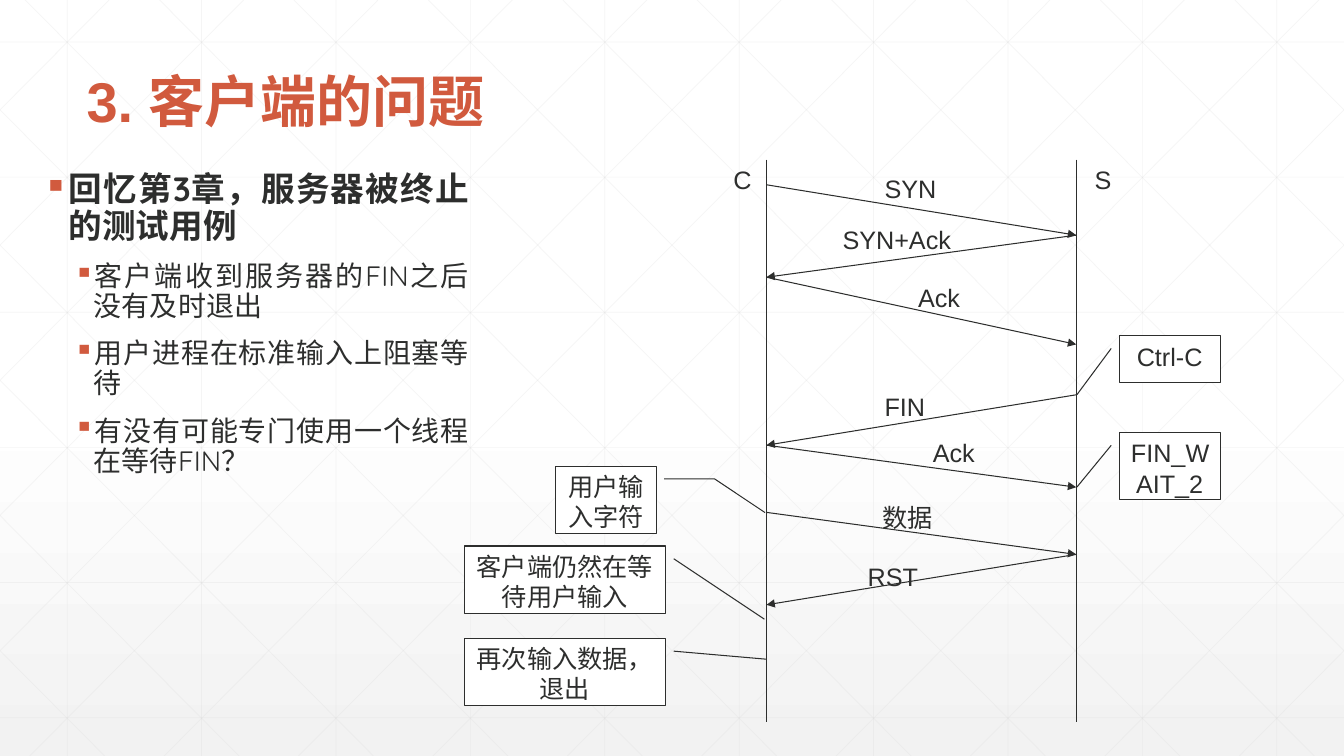
from dataclasses import dataclass

from lxml import etree
from pptx import Presentation
from pptx.dml.color import RGBColor
from pptx.enum.lang import MSO_LANGUAGE_ID
from pptx.enum.shapes import MSO_CONNECTOR, MSO_SHAPE
from pptx.enum.text import MSO_ANCHOR, MSO_AUTO_SIZE, PP_ALIGN
from pptx.oxml.ns import qn
from pptx.util import Pt

STRAIGHT = MSO_CONNECTOR.STRAIGHT
CALLOUT, BENT_CALLOUT = MSO_SHAPE.LINE_CALLOUT_1, MSO_SHAPE.LINE_CALLOUT_2
TOP, BOTTOM = MSO_ANCHOR.TOP, MSO_ANCHOR.BOTTOM
LEFT, CENTER, JUSTIFY = PP_ALIGN.LEFT, PP_ALIGN.CENTER, PP_ALIGN.JUSTIFY
FIT_SHAPE, FIT_NONE = MSO_AUTO_SIZE.SHAPE_TO_FIT_TEXT, MSO_AUTO_SIZE.NONE
CHINESE = MSO_LANGUAGE_ID.SIMPLIFIED_CHINESE

EMU_PER_PX = 9525
WIDTH, HEIGHT = 1280, 720


@dataclass(frozen=True)
class Theme:
    ink: str = "2D2E2D"
    accent: str = "D15A3E"
    paper: str = "FFFFFF"
    shade: str = "F2F2F2"
    grid: str = "D9D9D9"
    grid_alpha: int = 25000
    diagram_font: str = "Arial"
    body_font: str = "Quicksand"
    title_size: int = 40
    point_size: int = 24
    subpoint_size: int = 20
    label_size: int = 18
    line_width: float = 0.75
    grid_width: float = 0.5


def px(*lengths):
    return [round(length * EMU_PER_PX) for length in lengths]


def assign(target, values):
    for name, value in values.items():
        setattr(target, name, value)


def add_element(parent, tag, **attributes):
    return etree.SubElement(parent, qn(tag), attributes)


class SlideBuilder:
    """Draws styled elements on one slide."""

    def __init__(self, presentation, theme):
        self.theme = theme
        self.slide = presentation.slides.add_slide(presentation.slide_layouts[6])

    def background(self):
        fill = self.slide.background.fill
        fill.gradient()
        fill.gradient_angle = 270
        colors = (0.53, self.theme.paper), (1, self.theme.shade)
        for stop, (position, color) in zip(fill.gradient_stops, colors):
            stop.position = position
            stop.color.rgb = RGBColor.from_string(color)

    def outline(self, shape, color, width):
        shape.line.width = Pt(width)
        shape.line.color.rgb = RGBColor.from_string(color)

    def line(self, start, end, arrow=False):
        connector = self.slide.shapes.add_connector(STRAIGHT, *px(*start, *end))
        self.outline(connector, self.theme.ink, self.theme.line_width)
        if arrow:
            outline = connector._element.spPr.find(qn("a:ln"))
            add_element(outline, "a:tailEnd", type="triangle")
        add_element(connector._element.spPr, "a:effectLst")

    def grid(self, segments):
        group = self.slide.shapes.add_group_shape()
        for segment in segments:
            connector = group.shapes.add_connector(STRAIGHT, *px(*segment))
            self.outline(connector, self.theme.grid, self.theme.grid_width)
            color = connector._element.spPr.find(".//" + qn("a:srgbClr"))
            add_element(color, "a:alpha", val=str(self.theme.grid_alpha))
            add_element(connector._element.spPr, "a:effectLst")

    def fill_paragraph(self, paragraph, text, size, font=None, color=None, bold=False, **layout):
        paragraph.text = text
        assign(paragraph, layout)
        run_font = paragraph.runs[0].font
        assign(run_font, {
            "name": font or self.theme.diagram_font,
            "size": Pt(size),
            "bold": bold,
            "language_id": CHINESE,
        })
        run_font.color.rgb = RGBColor.from_string(color or self.theme.ink)

    def text_box(self, box, wrap=True, anchor=TOP, fit=FIT_NONE):
        frame = self.slide.shapes.add_textbox(*px(*box)).text_frame
        assign(frame, {"word_wrap": wrap, "vertical_anchor": anchor, "auto_size": fit})
        return frame

    def title(self, text, box):
        frame = self.text_box(box, anchor=BOTTOM)
        self.fill_paragraph(frame.paragraphs[0], text, self.theme.title_size,
                            color=self.theme.accent, bold=True, line_spacing=0.9)

    def label(self, text, left, top, width):
        frame = self.text_box((left, top, width, 38), wrap=False, fit=FIT_SHAPE)
        self.fill_paragraph(frame.paragraphs[0], text, self.theme.label_size, alignment=LEFT)

    def bullets(self, heading, points, box):
        frame = self.text_box(box)
        for index, text in enumerate([heading, *points]):
            paragraph = frame.add_paragraph() if index else frame.paragraphs[0]
            margin, hanging = px(48, -19) if index else px(24, -24)
            properties = paragraph._p.get_or_add_pPr()
            properties.set("marL", str(margin))
            properties.set("indent", str(hanging))
            bullet_color = add_element(properties, "a:buClr")
            add_element(bullet_color, "a:srgbClr", val=self.theme.accent)
            add_element(properties, "a:buChar", char="▪")
            size = self.theme.subpoint_size if index else self.theme.point_size
            self.fill_paragraph(paragraph, text, size, self.theme.body_font, bold=not index,
                                level=min(index, 1), alignment=JUSTIFY, line_spacing=0.9,
                                space_before=Pt(12 if index else 0))

    def callout(self, text, box, pointer, kind=CALLOUT):
        shape = self.slide.shapes.add_shape(kind, *px(*box))
        shape.shadow.inherit = False
        shape.fill.solid()
        shape.fill.fore_color.rgb = RGBColor.from_string(self.theme.paper)
        self.outline(shape, self.theme.ink, self.theme.line_width)
        for index, value in enumerate(pointer):
            shape.adjustments[index] = value
        assign(shape.text_frame, {"word_wrap": True, "vertical_anchor": TOP})
        self.fill_paragraph(shape.text_frame.paragraphs[0], text, self.theme.label_size,
                            alignment=CENTER)


def grid_segments():
    step, slope = 128, 1.006
    segments = [(x, 0, x, HEIGHT) for x in range(64, WIDTH, step)]
    segments += [(0, 40 + 128.7 * row, WIDTH, 40 + 128.7 * row) for row in range(6)]
    for origin in range(24 - 5 * step, WIDTH, step):
        left, right = max(origin, 0), min(origin + HEIGHT / slope, WIDTH)
        top, bottom = (left - origin) * slope, (right - origin) * slope
        segments.append((left, top, right, bottom))
        segments.append((WIDTH - left, top, WIDTH - right, bottom))
    return segments


def main():
    presentation = Presentation()
    presentation.slide_width, presentation.slide_height = px(WIDTH, HEIGHT)
    builder = SlideBuilder(presentation, Theme())
    builder.background()
    builder.grid(grid_segments())

    builder.title("3. 客户端的问题", (73, 13, 1008, 120))
    builder.bullets(
        "回忆第3章，服务器被终止的测试用例",
        ["客户端收到服务器的FIN之后没有及时退出",
         "用户进程在标准输入上阻塞等待",
         "有没有可能专门使用一个线程在等待FIN？"],
        (32, 160, 424, 408))

    callouts = [
        ("再次输入数据，退出", (442, 608, 192, 64), (0.19, 1.04, 0.31, 1.5), CALLOUT),
        ("客户端仍然在等待用户输入", (442, 520, 192, 64), (0.19, 1.04, 1.09, 1.49), CALLOUT),
        ("用户输入字符", (529, 444, 96, 64), (0.19, 1.08, 0.19, 1.58, 0.69, 2.08), BENT_CALLOUT),
        ("Ctrl-C", (1066, 320, 96, 44), (0.27, -0.08, 1.27, -0.42), CALLOUT),
        ("FIN_WAIT_2", (1066, 412, 96, 64), (0.19, -0.08, 0.81, -0.42), CALLOUT),
    ]
    for callout in callouts:
        builder.callout(*callout)

    client, server = 730, 1025
    for lifeline in (client, server):
        builder.line((lifeline, 152), (lifeline, 688))
    builder.label("C", 689, 152, 36)
    builder.label("S", 1033, 152, 36)

    messages = [
        (client, 176, server, 224, "SYN", 833, 160, 69),
        (server, 224, client, 264, "SYN+Ack", 793, 209, 123),
        (client, 264, server, 328, "Ack", 865, 264, 60),
        (server, 376, client, 424, "FIN", 833, 368, 58),
        (client, 424, server, 464, "Ack", 879, 412, 60),
        (client, 488, server, 528, "数据", 831, 474, 67),
        (server, 528, client, 576, "RST", 817, 530, 67),
    ]
    for sender, sent, receiver, received, *label in messages:
        builder.line((sender, sent), (receiver, received), arrow=True)
        builder.label(*label)

    presentation.save("out.pptx")


if __name__ == "__main__":
    main()
